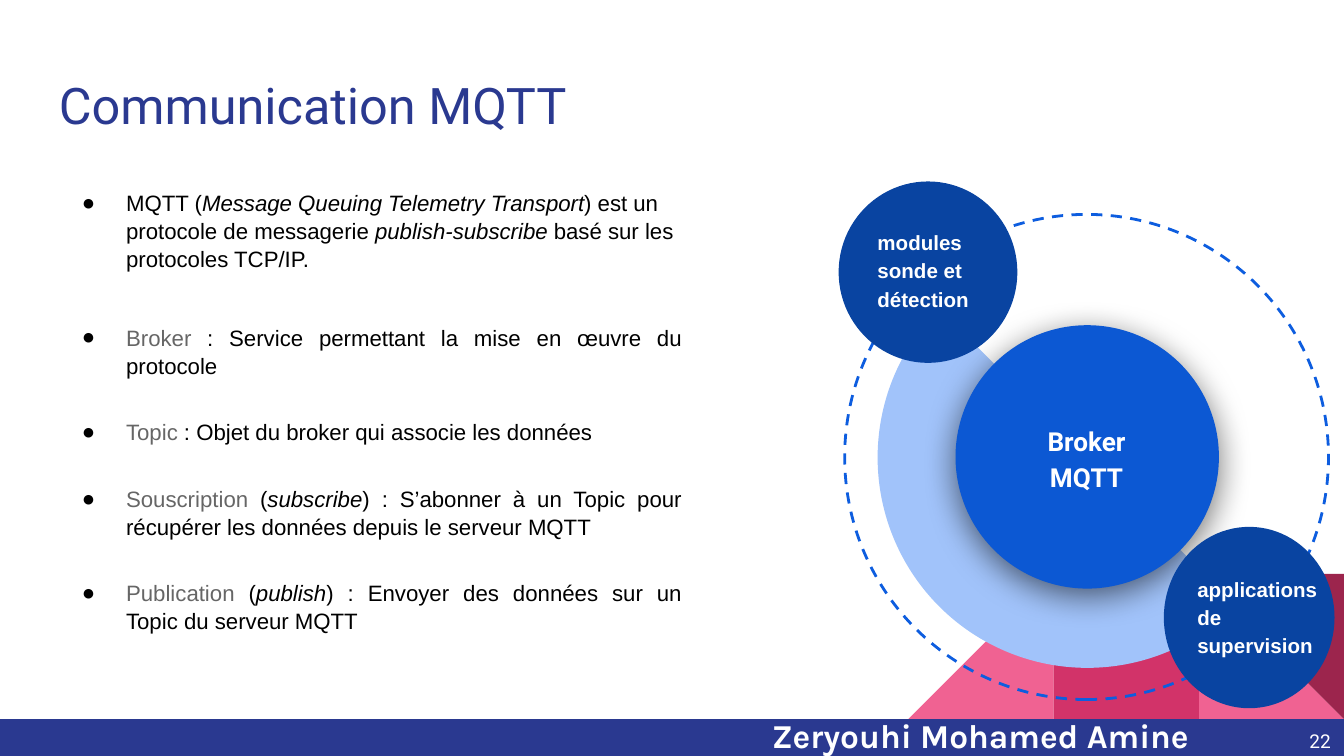
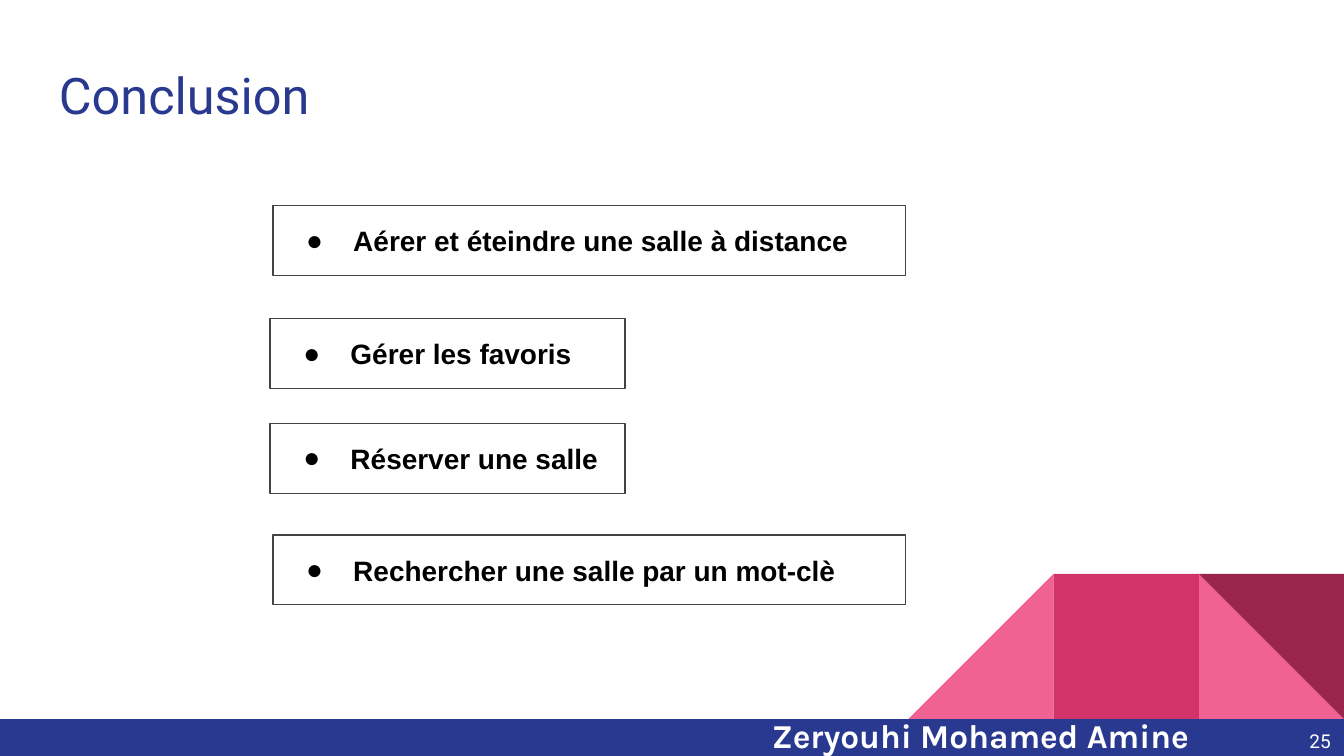
from lxml import etree
from pptx import Presentation
from pptx.dml.color import RGBColor
from pptx.enum import dml, shapes, text
from pptx.oxml import ns
from pptx.util import Inches, Pt

COLORS = {
    "navy": "2A3990", "pink": "F06292", "rose": "D23369", "plum": "9C254D",
    "ring": "0D5DDF", "sky": "A1C3FA", "hub": "0C58D3", "node": "0944A1",
    "frame": "434343", "term": "666666", "black": "000000", "white": "FFFFFF",
}
SHAPE = shapes.MSO_SHAPE
ALIGN = text.PP_ALIGN
WIDTH = 10
HEIGHT = WIDTH * 9 / 16
BAND_TOP = 5.35
INSET = 0.1


def color(name):
    return RGBColor.from_string(COLORS[name])


def add_figure(page, kind, left, top, width, height, fill=None, line=None, weight=1.5):
    shape = page.shapes.add_shape(
        kind, Inches(left), Inches(top), Inches(width), Inches(height))
    shape.shadow.inherit = False
    if fill:
        shape.fill.solid()
        shape.fill.fore_color.rgb = color(fill)
    else:
        shape.fill.background()
    if line:
        shape.line.color.rgb = color(line)
        shape.line.width = Pt(weight)
    else:
        shape.line.fill.background()
    return shape


def prepare_frame(shape, anchor=text.MSO_ANCHOR.MIDDLE):
    frame = shape.text_frame
    frame.word_wrap = True
    frame.vertical_anchor = anchor
    frame.margin_left = frame.margin_right = Inches(INSET)
    frame.margin_top = frame.margin_bottom = Inches(INSET)
    return frame


def add_frame(page, left, top, width, height, **options):
    box = page.shapes.add_textbox(
        Inches(left), Inches(top), Inches(width), Inches(height))
    return prepare_frame(box, **options)


def set_font(font, name, size, tint, bold=False):
    font.name = name
    font.size = Pt(size)
    font.bold = bold
    font.color.rgb = color(tint)


def add_bullet(para, hanging):
    """Give a paragraph a round bullet; call it before the font is set."""
    props = para._p.get_or_add_pPr()
    props.set("marL", str(Inches(0.5)))
    props.set("indent", str(-Inches(hanging)))
    tint = etree.SubElement(props, ns.qn("a:buClr"))
    etree.SubElement(tint, ns.qn("a:srgbClr"), val=COLORS["black"])
    etree.SubElement(props, ns.qn("a:buFont"), typeface="Arial")
    etree.SubElement(props, ns.qn("a:buChar"), char="●")


def add_tab_stop(para, position):
    stops = etree.SubElement(para._p.get_or_add_pPr(), ns.qn("a:tabLst"))
    etree.SubElement(stops, ns.qn("a:tab"), pos=str(Inches(position)), algn="l")


def add_hub_shadow(shape):
    effects = shape._element.spPr.find(ns.qn("a:effectLst"))
    shadow = etree.SubElement(
        effects, ns.qn("a:outerShdw"), blurRad=str(Pt(18)), dist=str(Pt(4)),
        dir=str(90 * 60000), algn="bl", rotWithShape="0")
    tint = etree.SubElement(shadow, ns.qn("a:srgbClr"), val=COLORS["black"])
    etree.SubElement(tint, ns.qn("a:alpha"), val="55000")


def draw_corner(page, side=1.08):
    """Draw the pink blocks that stand on the band at the right."""
    top = BAND_TOP - side
    lefts = [WIDTH - count * side for count in (3, 2, 1)]
    add_figure(page, SHAPE.RIGHT_TRIANGLE, lefts[2], top, side, side, "pink")
    slope = add_figure(page, SHAPE.RIGHT_TRIANGLE, lefts[0], top, side, side, "pink")
    slope._element.spPr.xfrm.set("flipH", "1")
    add_figure(page, SHAPE.RECTANGLE, lefts[1], top, side, side, "rose")
    add_figure(page, SHAPE.RIGHT_TRIANGLE, lefts[2], top, side, side, "plum").rotation = 180


def draw_footer(page, number, left):
    frame = add_frame(page, left, 5.35, WIDTH - left, 0.3)
    para = frame.paragraphs[0]
    add_tab_stop(para, 4)
    para.alignment = ALIGN.RIGHT
    para.line_spacing = 0.8
    author = para.add_run()
    author.text = "Zeryouhi Mohamed Amine\t"
    set_font(author.font, "Karla", 17.9, "white", bold=True)
    folio = para.add_run()
    folio.text = str(number)
    set_font(folio.font, "Roboto", 10.2, "white")


def start_page(deck, title, title_top, number, footer_left):
    page = deck.slides.add_slide(deck.slide_layouts[6])
    draw_corner(page)
    add_figure(page, SHAPE.RECTANGLE, 0, BAND_TOP, WIDTH, HEIGHT - BAND_TOP, "navy")
    frame = add_frame(page, 0.34, title_top, 9.32, 0.66, anchor=text.MSO_ANCHOR.TOP)
    para = frame.paragraphs[0]
    para.text = title
    set_font(para.font, "Roboto", 27, "navy")
    draw_footer(page, number, footer_left)
    return page


def draw_definitions(page, left, top, width, height):
    """Each item: space before, alignment, then (words, style) spans."""
    items = [
        (0, ALIGN.LEFT, [
            ("MQTT (", ""), ("Message Queuing Telemetry Transport", "italic"),
            (") est un protocole de messagerie", ""), (" publish-subscribe", "italic"),
            (" basé sur les protocoles TCP/IP.", "")]),
        (27, ALIGN.JUSTIFY, [
            ("Broker", "term"),
            (" : Service permettant la mise en œuvre du protocole", "")]),
        (20.7, ALIGN.JUSTIFY, [
            ("Topic", "term"), (" : Objet du broker qui associe les données", "")]),
        (20.7, ALIGN.JUSTIFY, [
            ("Souscription", "term"), (" (", ""), ("subscribe", "italic"),
            (") : S’abonner à un Topic pour récupérer les données "
             "depuis le serveur MQTT", "")]),
        (20.7, ALIGN.JUSTIFY, [
            ("Publication", "term"), (" (", ""), ("publish", "italic"),
            (") : Envoyer des données sur un Topic du serveur MQTT", "")]),
    ]
    frame = add_frame(page, left, top, width, height, anchor=text.MSO_ANCHOR.TOP)
    for index, (gap, alignment, spans) in enumerate(items):
        para = frame.add_paragraph() if index else frame.paragraphs[0]
        add_bullet(para, 0.33)
        para.alignment = alignment
        para.line_spacing = 1.05
        para.space_before = Pt(gap)
        set_font(para.font, "Arial", 11.9, "black")
        for words, style in spans:
            span = para.add_run()
            span.text = words
            if style == "italic":
                span.font.italic = True
            elif style == "term":
                span.font.color.rgb = color("term")


def draw_label(page, left, top, width, height, lines, font, size, alignment):
    frame = add_frame(page, left, top, width, height)
    for index, line in enumerate(lines):
        para = frame.add_paragraph() if index else frame.paragraphs[0]
        para.text = line
        para.alignment = alignment
        para.line_spacing = 1.15
        set_font(para.font, font, size, "white", bold=True)


def draw_broker_diagram(page, left, top):
    ring = add_figure(page, SHAPE.OVAL, left + 0.04, top + 0.25, 3.61, 3.6, line="ring")
    ring.line.dash_style = dml.MSO_LINE.DASH
    ring.rotation = 270
    half = add_figure(page, SHAPE.PIE, left + 0.29, top + 0.49, 3.12, 3.13, "sky")
    for index, degrees in enumerate((44.83, 225.18)):
        half.adjustments[index] = degrees * 0.6
    add_hub_shadow(add_figure(
        page, SHAPE.OVAL, left + 0.87, top + 1.07, 1.96, 1.96, "hub"))
    draw_label(page, left + 1.12, top + 1.6, 1.45, 0.89,
               ["Broker", "MQTT"], "Roboto", 14, ALIGN.CENTER)
    nodes = [
        ((0, 0, 1.33, 1.35), (0.19, 0.16, 1.01, 0.98), "modules sonde et détection"),
        ((2.42, 2.57, 1.27, 1.35), (2.57, 2.75, 1.12, 0.96), "applications de supervision"),
    ]
    for (x, y, *disc), (label_x, label_y, *label), words in nodes:
        add_figure(page, SHAPE.OVAL, left + x, top + y, *disc, "node")
        draw_label(page, left + label_x, top + label_y, *label,
                   [words], "Arial", 11, ALIGN.LEFT)


def draw_conclusions(page, left, top):
    wide, narrow = (0.02, 4.71), (0, 2.64)
    items = [
        (0, wide, "Aérer et éteindre une salle à distance"),
        (0.84, narrow, "Gérer les favoris"),
        (1.62, narrow, "Réserver une salle"),
        (2.45, wide, "Rechercher une salle par un mot-clè"),
    ]
    for y, (x, width), words in items:
        card = add_figure(page, SHAPE.RECTANGLE, left + x, top + y, width, 0.52,
                          line="frame", weight=0.75)
        para = prepare_frame(card).paragraphs[0]
        para.text = words
        add_bullet(para, 0.35)
        para.alignment = ALIGN.LEFT
        set_font(para.font, "Arial", 15, "black", bold=True)


def main():
    deck = Presentation()
    deck.slide_width, deck.slide_height = Inches(WIDTH), Inches(HEIGHT)

    page = start_page(deck, "Communication MQTT", 0.45, 22, 5.6)
    draw_definitions(page, 0.34, 1.3, 4.83, 3.65)
    draw_broker_diagram(page, 6.24, 1.35)

    page = start_page(deck, "Conclusion", 0.38, 25, 5.52)
    draw_conclusions(page, 2.01, 1.53)

    deck.save("out.pptx")


if __name__ == "__main__":
    main()
